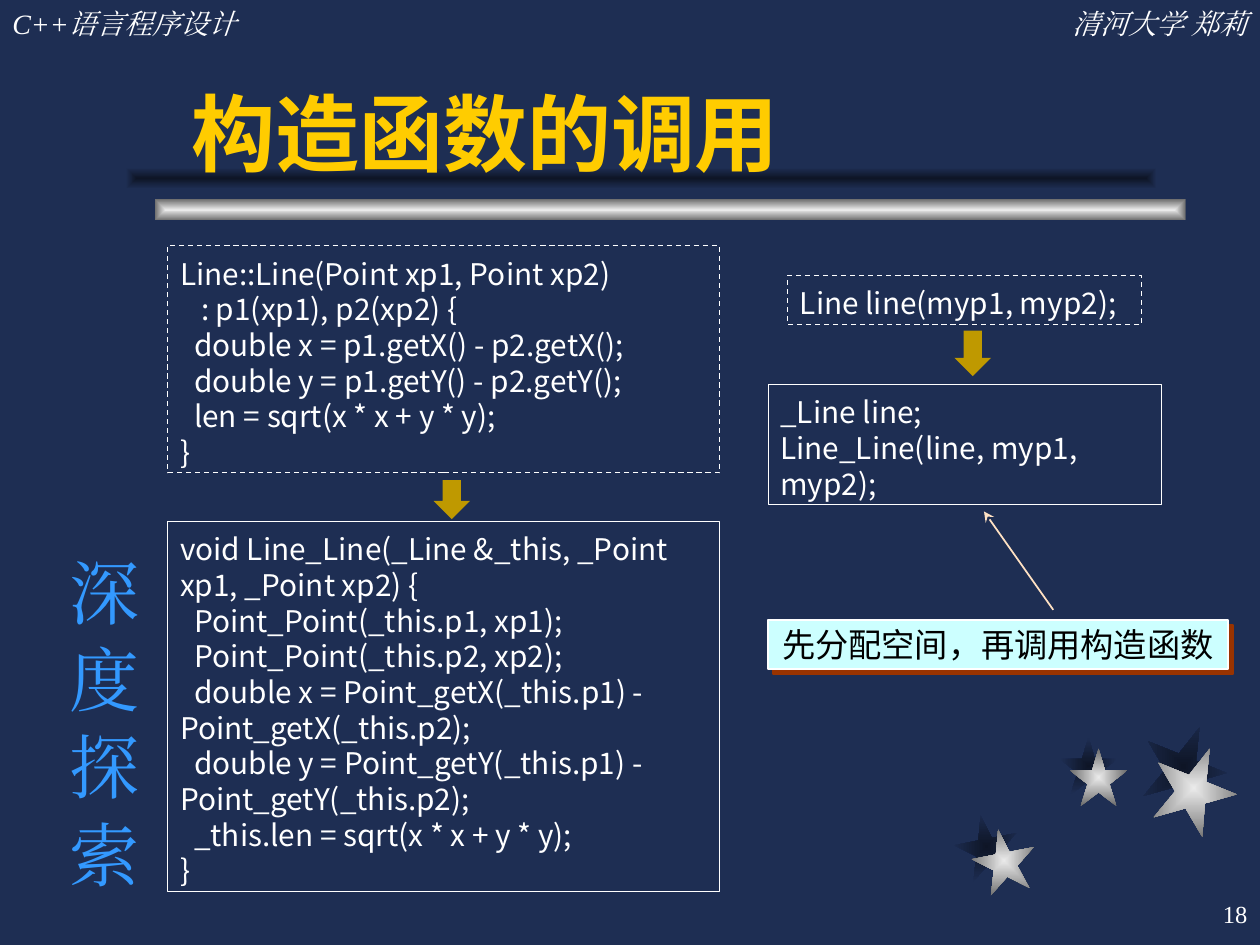
from dataclasses import dataclass
from itertools import zip_longest

from lxml.etree import SubElement
from pptx import Presentation
from pptx.dml.color import RGBColor
from pptx.enum.dml import MSO_LINE
from pptx.enum.shapes import MSO_CONNECTOR, MSO_SHAPE
from pptx.enum.text import MSO_ANCHOR as Anchor, MSO_AUTO_SIZE, PP_ALIGN as Align
from pptx.oxml.ns import qn
from pptx.util import Pt


@dataclass(frozen=True)
class Theme:
    background: str = "1E2E53"
    shade: str = "0E1526"
    silver: str = "EAEAEA"
    steel: str = "6C6C6C"
    white: str = "FFFFFF"
    black: str = "000000"
    title: str = "FFCC00"
    sidebar: str = "3399FF"
    arrow: str = "BF9900"
    callout: str = "CCFFFF"
    callout_shadow: str = "993300"
    pointer: str = "FFE1C3"
    serif: str = "Times New Roman"
    heading: str = "Arial"
    sans: str = "Noto Sans CJK SC"
    title_size: float = 48
    sidebar_size: float = 40
    callout_size: float = 19
    code_size: float = 17
    header_size: float = 16
    number_size: float = 14
    code_leading: float = 20.4


@dataclass(frozen=True)
class Box:
    left: float
    top: float
    width: float
    height: float

    def lengths(self):
        return Pt(self.left), Pt(self.top), Pt(self.width), Pt(self.height)


@dataclass(frozen=True)
class Star:
    left: float
    top: float
    size: float
    rotation: float
    shadow_left: float
    shadow_top: float


@dataclass(frozen=True)
class Code:
    box: Box
    text: str
    indents: tuple = ()
    dashed: bool = False


THEME = Theme()
STEP = 8
STAR_OUTLINE = ((0, .38), (.39, .38), (.5, 0), (.61, .38), (1, .38),
                (.69, .62), (.81, 1), (.5, .76), (.19, 1), (.31, .62))
STARS = (
    Star(555.8, 473.8, 36, -11, 545.8, 465.8),
    Star(611.3, 427.7, 33, 0, 605.5, 421.2),
    Star(658.1, 426.2, 48.2, 22, 652.3, 414),
)
CODES = (
    Code(Box(95.8, 140.4, 315.4, 129.8),
         "Line::Line(Point xp1, Point xp2)\n"
         ": p1(xp1), p2(xp2) {\n"
         "double x = p1.getX() - p2.getX();\n"
         "double y = p1.getY() - p2.getY();\n"
         "len = sqrt(x * x + y * y);\n"
         "}", (0, 1.5 * STEP, STEP, STEP, STEP), True),
    Code(Box(95.8, 297.8, 315.4, 211.5),
         "void Line_Line(_Line &_this, _Point xp1, _Point xp2) {\n"
         "Point_Point(_this.p1, xp1);\n"
         "Point_Point(_this.p2, xp2);\n"
         "double x = Point_getX(_this.p1) - Point_getX(_this.p2);\n"
         "double y = Point_getY(_this.p1) - Point_getY(_this.p2);\n"
         "_this.len = sqrt(x * x + y * y);\n"
         "}", (0,) + (STEP,) * 5),
    Code(Box(450, 157.4, 202.5, 28), "Line line(myp1, myp2);", dashed=True),
    Code(Box(438.8, 219.6, 225, 68.4), "_Line line;\nLine_Line(line, myp1, myp2);"),
)
ARROWS = (Box(247, 275, 22.3, 20.9), Box(542.9, 191.5, 25.9, 20.9))


def write(shape, text, *, font, size, color, bold=False, italic=False,
          align=Align.LEFT, anchor=Anchor.TOP, wrap=True, leading=None,
          indents=(), insets=(7.2, 3.6, 7.2, 3.6)):
    frame = shape.text_frame
    frame.text = text
    frame.auto_size = MSO_AUTO_SIZE.NONE
    frame.word_wrap = wrap
    frame.vertical_anchor = anchor
    (frame.margin_left, frame.margin_top,
     frame.margin_right, frame.margin_bottom) = map(Pt, insets)
    for paragraph in frame.paragraphs:
        paragraph.alignment = align
        if leading:
            paragraph.line_spacing = Pt(leading)
        for run in paragraph.runs:
            run.font.name = font
            run.font.size = Pt(size)
            run.font.bold = bold
            run.font.italic = italic
            run.font.color.rgb = RGBColor.from_string(color)
    for properties in shape.element.iter(qn("a:rPr")):
        SubElement(properties, qn("a:ea")).set("typeface", font)
    for properties, indent in zip_longest(list(shape.element.iter(qn("a:pPr"))), indents, fillvalue=0):
        if indent:
            properties.set("marL", "0")
            properties.set("indent", str(int(Pt(indent))))


def fill_from_center(shape, center: str, edge: str) -> None:
    shape.shadow.inherit = False
    shape.line.fill.background()
    shape.fill.gradient()
    for stop, position, color in zip(shape.fill.gradient_stops, (0, 1), (center, edge)):
        stop.position = position
        stop.color.rgb = RGBColor.from_string(color)
    gradient = shape.element.spPr.find(qn("a:gradFill"))
    gradient.remove(gradient.find(qn("a:lin")))
    spread = SubElement(gradient, qn("a:path"), path="rect")
    SubElement(spread, qn("a:fillToRect"), l="50000", t="50000", r="50000", b="50000")


def add_star(shapes, left: float, top: float, size: float, rotation: float,
             center: str, edge: str) -> None:
    corners = [(Pt(left + x * size), Pt(top + y * size)) for x, y in STAR_OUTLINE]
    outline = shapes.build_freeform(*corners[0])
    outline.add_line_segments(corners[1:], close=True)
    star = outline.convert_to_shape()
    star.rotation = rotation
    fill_from_center(star, center, edge)


def add_bar(shapes, box: Box, center: str, edge: str) -> None:
    fill_from_center(shapes.add_shape(MSO_SHAPE.RECTANGLE, *box.lengths()), center, edge)


def add_code(shapes, code: Code) -> None:
    panel = shapes.add_shape(MSO_SHAPE.RECTANGLE, *code.box.lengths())
    panel.shadow.inherit = False
    panel.fill.background()
    panel.line.color.rgb = RGBColor.from_string(THEME.white)
    panel.line.width = Pt(0.75 if code.dashed else 0.25)
    if code.dashed:
        panel.line.dash_style = MSO_LINE.DASH
    write(panel, code.text, font=THEME.sans, size=THEME.code_size, color=THEME.white,
          leading=THEME.code_leading, indents=code.indents, insets=(7.2, 5.6, 7.2, 1.6))


def add_arrow(shapes, box: Box) -> None:
    arrow = shapes.add_shape(MSO_SHAPE.RIGHT_ARROW, *box.lengths())
    arrow.rotation = 90
    arrow.shadow.inherit = False
    arrow.fill.solid()
    arrow.fill.fore_color.rgb = RGBColor.from_string(THEME.arrow)
    arrow.line.fill.background()


def add_callout(shapes, box: Box, text: str) -> None:
    callout = shapes.add_shape(MSO_SHAPE.RECTANGLE, *box.lengths())
    callout.fill.solid()
    callout.fill.fore_color.rgb = RGBColor.from_string(THEME.callout)
    callout.line.color.rgb = RGBColor.from_string(THEME.white)
    callout.line.width = Pt(1)
    callout.shadow.inherit = False
    effects = callout.element.spPr.find(qn("a:effectLst"))
    shadow = SubElement(effects, qn("a:outerShdw"), dist=str(int(Pt(4.2))),
                        dir="2700000", algn="ctr", rotWithShape="0")
    SubElement(shadow, qn("a:srgbClr"), val=THEME.callout_shadow)
    write(callout, text, font=THEME.sans, size=THEME.callout_size, color=THEME.black,
          align=Align.CENTER, anchor=Anchor.MIDDLE, wrap=False)


def add_pointer(shapes, start: tuple, end: tuple) -> None:
    pointer = shapes.add_connector(MSO_CONNECTOR.STRAIGHT, *map(Pt, start + end))
    pointer.line.color.rgb = RGBColor.from_string(THEME.pointer)
    pointer.line.width = Pt(1)
    properties = pointer.element.spPr
    SubElement(properties.find(qn("a:ln")), qn("a:tailEnd"), type="stealth")
    SubElement(properties, qn("a:effectLst"))


def add_label(shapes, box: Box, text: str, **style):
    label = shapes.add_textbox(*box.lengths())
    write(label, text, font=THEME.serif, **style)
    return label


def main() -> None:
    deck = Presentation()
    deck.slide_width, deck.slide_height = Pt(720), Pt(540)
    slide = deck.slides.add_slide(deck.slide_layouts[5])
    slide.background.fill.solid()
    slide.background.fill.fore_color.rgb = RGBColor.from_string(THEME.background)
    shapes = slide.shapes

    for star in STARS:
        add_star(shapes, star.shadow_left, star.shadow_top, star.size, star.rotation,
                 THEME.shade, THEME.background)
    for star in STARS:
        add_star(shapes, star.left, star.top, star.size, star.rotation,
                 THEME.silver, THEME.steel)
    add_bar(shapes, Box(88.5, 113.8, 589, 12.2), THEME.silver, THEME.steel)
    add_bar(shapes, Box(72, 95.8, 589, 12.2), THEME.shade, THEME.background)

    header = dict(size=THEME.header_size, color=THEME.white, italic=True)
    add_label(shapes, Box(0, 0, 222, 26.6), "C++语言程序设计", **header)
    add_label(shapes, Box(498, 0, 222, 26.6), "清河大学 郑莉", align=Align.RIGHT, **header)

    title = shapes.title
    title.left, title.top, title.width, title.height = Box(102, 18, 564, 90).lengths()
    write(title, "构造函数的调用", font=THEME.heading, size=THEME.title_size,
          color=THEME.title, bold=True, anchor=Anchor.BOTTOM)
    shapes.element.append(title.element)

    add_label(shapes, Box(570, 504, 150, 36), "18", size=THEME.number_size,
              color=THEME.white, align=Align.RIGHT, anchor=Anchor.MIDDLE, wrap=False)
    for code in CODES:
        add_code(shapes, code)
    for arrow in ARROWS:
        add_arrow(shapes, arrow)
    add_callout(shapes, Box(438.8, 354.4, 263, 28), "先分配空间，再调用构造函数")
    add_pointer(shapes, (601.9, 348.5), (562.3, 292.3))
    sidebar = add_label(shapes, Box(21.6, 102.2, 61.9, 372.2), "深 度 探 索",
                        size=THEME.sidebar_size, color=THEME.sidebar,
                        align=Align.CENTER, insets=(3.6, 7.2, 3.6, 7.2))
    next(sidebar.element.iter(qn("a:bodyPr"))).set("vert", "eaVert")
    deck.save("out.pptx")


if __name__ == "__main__":
    main()
